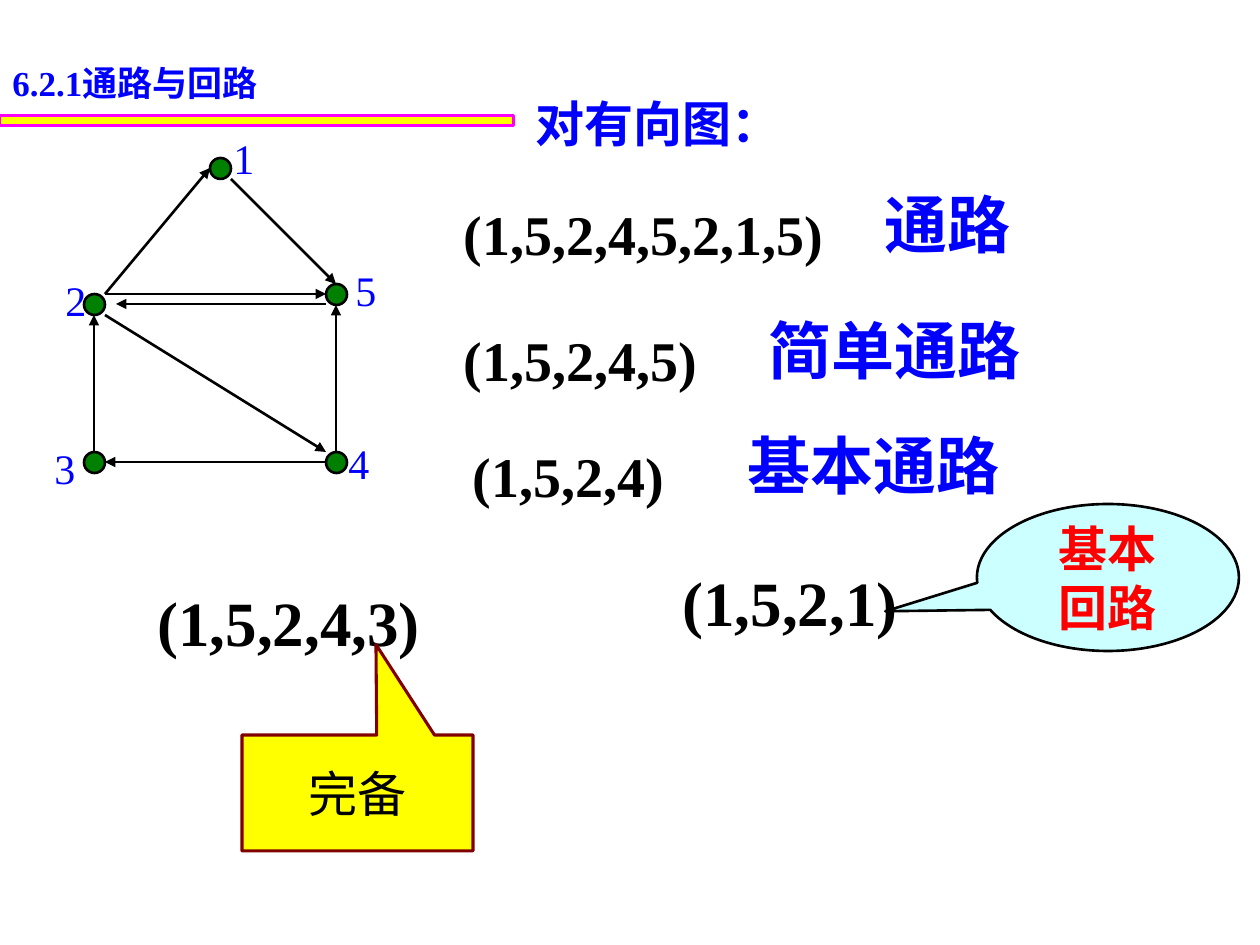
from typing import NamedTuple

import pptx
import pptx.dml.color
import pptx.enum.shapes
import pptx.enum.text
import pptx.oxml
import pptx.oxml.ns
import pptx.util

EMU_PER_PX = 914400 / 126
NODE_SIZE = 21
SERIF = "Times New Roman"
SANS = "Arial"
COLORS = {
    "black": "000000",
    "blue": "0000FF",
    "red": "FF0000",
    "green": "008000",
    "yellow": "FFFF00",
    "magenta": "FF00FF",
    "cyan": "CCFFFF",
    "maroon": "800000",
}
MSO_SHAPE = pptx.enum.shapes.MSO_SHAPE


class Box(NamedTuple):
    left: int
    top: int
    width: int
    height: int


class Style(NamedTuple):
    size: int
    color: str
    font: str
    bold: bool = True


class Node(NamedTuple):
    name: str
    left: int
    top: int
    label_left: int
    label_top: int


class Edge(NamedTuple):
    start_x: int
    start_y: int
    end_x: int
    end_y: int


class Caption(NamedTuple):
    text: str
    box: Box
    style: Style


LABEL = Style(24, "blue", SERIF, False)
PATH = Style(32, "black", SERIF)
LARGE_PATH = Style(36, "black", SERIF)
TERM = Style(36, "blue", SANS)
HEADING = Style(28, "blue", SANS)

NODES = [
    Node("1", 210, 158, 221, 126),
    Node("2", 84, 294, 53, 268),
    Node("3", 84, 452, 42, 436),
    Node("4", 326, 452, 336, 431),
    Node("5", 326, 284, 343, 258),
]
EDGES = [
    Edge(105, 294, 210, 168),
    Edge(231, 179, 336, 284),
    Edge(94, 452, 94, 315),
    Edge(336, 452, 336, 305),
    Edge(326, 462, 105, 462),
    Edge(105, 315, 326, 452),
    Edge(105, 294, 326, 294),
    Edge(326, 304, 116, 304),
]
CAPTIONS = [
    Caption("(1,5,2,4,5,2,1,5)", Box(451, 193, 527, 79), PATH),
    Caption("通路", Box(872, 179, 252, 88), TERM),
    Caption("(1,5,2,4,5)", Box(451, 319, 527, 79), PATH),
    Caption("简单通路", Box(756, 305, 378, 88), TERM),
    Caption("(1,5,2,4)", Box(460, 435, 527, 79), PATH),
    Caption("基本通路", Box(735, 420, 399, 88), TERM),
    Caption("对有向图：", Box(523, 87, 306, 72), HEADING),
    Caption("(1,5,2,1)", Box(670, 557, 338, 88), LARGE_PATH),
    Caption("(1,5,2,4,3)", Box(145, 577, 633, 88), LARGE_PATH),
]


def px(length: int) -> pptx.util.Emu:
    return pptx.util.Emu(round(length * EMU_PER_PX))


def rgb(color: str) -> pptx.dml.color.RGBColor:
    return pptx.dml.color.RGBColor.from_string(COLORS[color])


def add_run(paragraph, text: str, style: Style) -> None:
    run = paragraph.add_run()
    run.text = text
    run.font.size = pptx.util.Pt(style.size)
    run.font.name = style.font
    run.font.bold = style.bold
    run.font.color.rgb = rgb(style.color)


def add_text(slide, box: Box, runs: list[tuple[str, Style]], wrap: bool = True) -> None:
    text_box = slide.shapes.add_textbox(*map(px, box))
    frame = text_box.text_frame
    frame.word_wrap = wrap
    frame.auto_size = pptx.enum.text.MSO_AUTO_SIZE.SHAPE_TO_FIT_TEXT
    for text, style in runs:
        add_run(frame.paragraphs[0], text, style)


def add_shape(slide, kind, box: Box, fill: str, line: str, width: float):
    shape = slide.shapes.add_shape(kind, *map(px, box))
    shape.shadow.inherit = False
    shape.fill.solid()
    shape.fill.fore_color.rgb = rgb(fill)
    shape.line.color.rgb = rgb(line)
    shape.line.width = pptx.util.Pt(width)
    return shape


def fill_callout(shape, tip: tuple[float, float], lines: list[str], style: Style) -> None:
    for index, offset in enumerate(tip):
        shape.adjustments[index] = offset
    frame = shape.text_frame
    frame.word_wrap = True
    frame.vertical_anchor = pptx.enum.text.MSO_ANCHOR.MIDDLE
    for index, text in enumerate(lines):
        paragraph = frame.add_paragraph() if index else frame.paragraphs[0]
        paragraph.alignment = pptx.enum.text.PP_ALIGN.CENTER
        add_run(paragraph, text, style)


def add_arrow(slide, edge: Edge) -> None:
    connector = slide.shapes.add_connector(
        pptx.enum.shapes.MSO_CONNECTOR.STRAIGHT, *map(px, edge)
    )
    connector.line.color.rgb = rgb("black")
    connector.line.width = pptx.util.Pt(1.5)
    arrowhead = pptx.oxml.parse_xml(
        f'<a:tailEnd {pptx.oxml.ns.nsdecls("a")} type="triangle"/>'
    )
    connector.line._get_or_add_ln().append(arrowhead)
    properties = connector._element.spPr
    properties.append(pptx.oxml.parse_xml(f'<a:effectLst {pptx.oxml.ns.nsdecls("a")}/>'))


def main() -> None:
    presentation = pptx.Presentation()
    presentation.slide_width = px(1260)
    presentation.slide_height = px(945)
    slide = presentation.slides.add_slide(presentation.slide_layouts[6])

    add_shape(slide, MSO_SHAPE.RECTANGLE, Box(0, 116, 514, 10), "yellow", "magenta", 1.75)
    for node in NODES:
        node_box = Box(node.left, node.top, NODE_SIZE, NODE_SIZE)
        add_shape(slide, MSO_SHAPE.OVAL, node_box, "green", "black", 1.5)
    for edge in EDGES:
        add_arrow(slide, edge)
    for node in NODES:
        label_box = Box(node.label_left, node.label_top, 45, 63)
        add_text(slide, label_box, [(node.name, LABEL)], wrap=False)
    for caption in CAPTIONS:
        add_text(slide, caption.box, [(caption.text, caption.style)])

    circuit = add_shape(
        slide, MSO_SHAPE.OVAL_CALLOUT, Box(977, 504, 262, 147), "cyan", "black", 1.5
    )
    fill_callout(circuit, (-0.85, 0.23), ["基本", "回路"], Style(28, "red", SANS))
    complete = add_shape(
        slide, MSO_SHAPE.RECTANGULAR_CALLOUT, Box(242, 735, 231, 116), "yellow", "maroon", 1.75
    )
    fill_callout(complete, (0.08, -1.28), ["完备"], Style(28, "black", SANS, False))

    title_runs = [
        ("6.2.1", Style(20, "blue", SERIF)),
        ("通路与回路", Style(20, "blue", SANS)),
    ]
    add_text(slide, Box(0, 55, 444, 54), title_runs)
    presentation.save("out.pptx")


if __name__ == "__main__":
    main()
